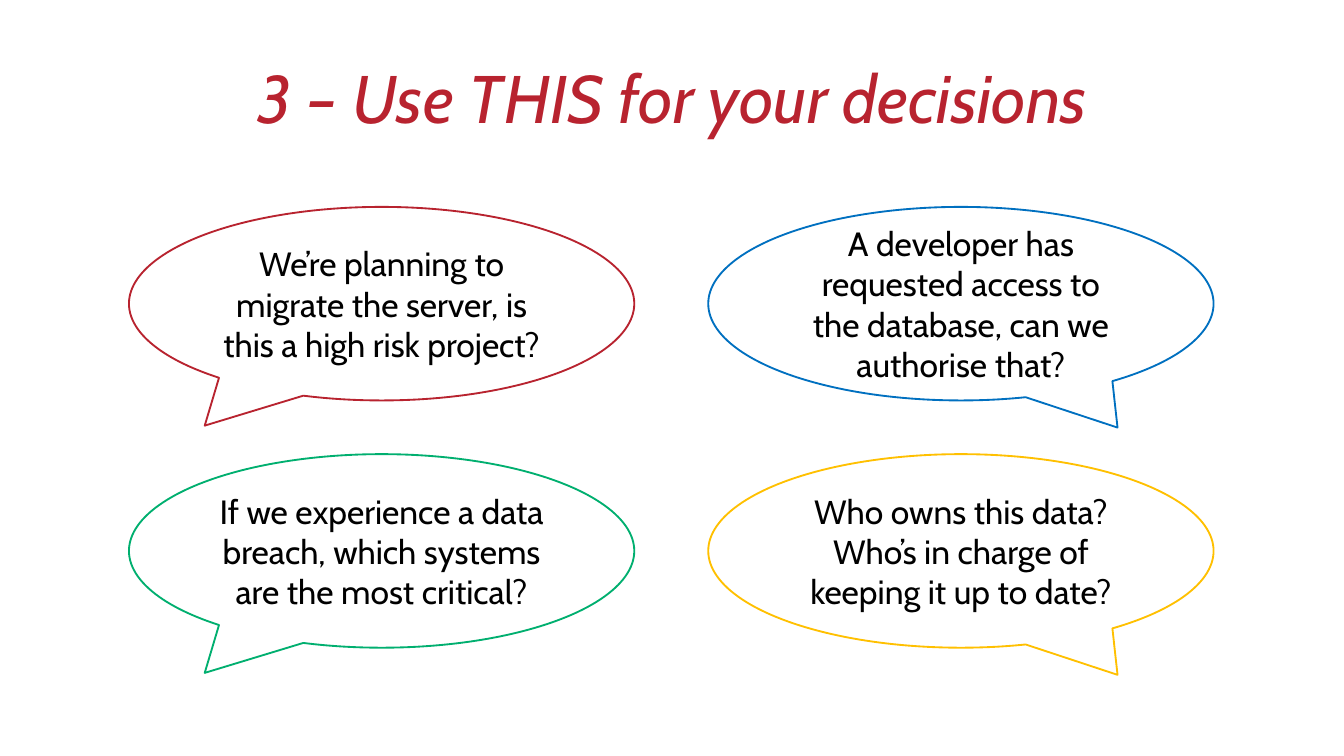
from pptx import Presentation
from pptx.dml.color import RGBColor
from pptx.enum.shapes import MSO_SHAPE
from pptx.enum.text import MSO_ANCHOR, PP_ALIGN
from pptx.util import Inches, Pt

CALLOUT = MSO_SHAPE.OVAL_CALLOUT
MIDDLE = MSO_ANCHOR.MIDDLE
CENTER = PP_ALIGN.CENTER

TITLE = "3 – Use THIS for your decisions"
RED = "B8232F"
COLS = 2
BUBBLES = [
    ("We’re planning to migrate the server, is this a high risk project?", RED),
    ("A developer has requested access to the database, can we authorise that?", "0070C0"),
    ("If we experience a data breach, which systems are the most critical?", "00AF6F"),
    ("Who owns this data? Who’s in charge of keeping it up to date?", "FFC000"),
]
TAILS = [(-0.35, 0.63), (0.31, 0.64)]  # tail tip for each column

WIDE = 10
HIGH = WIDE * 9 / 16
LEFT, TOP = 0.96, 1.54
BUB_W, BUB_H = 3.76, 1.44
STEP_X, STEP_Y = 4.31, 1.84


def color(code):
    return RGBColor.from_string(code)


def write(shape, text, size=18, tint="000000", italic=False, spacing=None, pad=(0.1, 0.05)):
    frame = shape.text_frame
    frame.word_wrap = True
    frame.vertical_anchor = MIDDLE
    frame.margin_left = frame.margin_right = Inches(pad[0])
    frame.margin_top = frame.margin_bottom = Inches(pad[1])
    para = frame.paragraphs[0]
    para.alignment = CENTER
    para.line_spacing = spacing
    run = para.add_run()
    run.text = text
    font = run.font
    font.name, font.size, font.italic = "Cabin", Pt(size), italic
    font.color.rgb = color(tint)


def add_bubble(slide, index, text, tint):
    row, col = divmod(index, COLS)
    box = [Inches(n) for n in (LEFT + col * STEP_X, TOP + row * STEP_Y, BUB_W, BUB_H)]
    shape = slide.shapes.add_shape(CALLOUT, *box)
    shape.shadow.inherit = False
    shape.adjustments[0], shape.adjustments[1] = TAILS[col]
    shape.fill.background()
    shape.line.color.rgb = color(tint)
    shape.line.width = Pt(1)
    write(shape, text)


def main():
    deck = Presentation()
    deck.slide_width, deck.slide_height = Inches(WIDE), Inches(HIGH)
    slide = deck.slides.add_slide(deck.slide_layouts[6])

    side = 0.69
    title = slide.shapes.add_textbox(
        Inches(side), Inches(0.21), Inches(WIDE - 2 * side), Inches(1.09))
    write(title, TITLE, size=36, tint=RED, italic=True, spacing=0.9, pad=(0.07, 0.04))

    for index, (text, tint) in enumerate(BUBBLES):
        add_bubble(slide, index, text, tint)
    deck.save("out.pptx")


if __name__ == "__main__":
    main()
